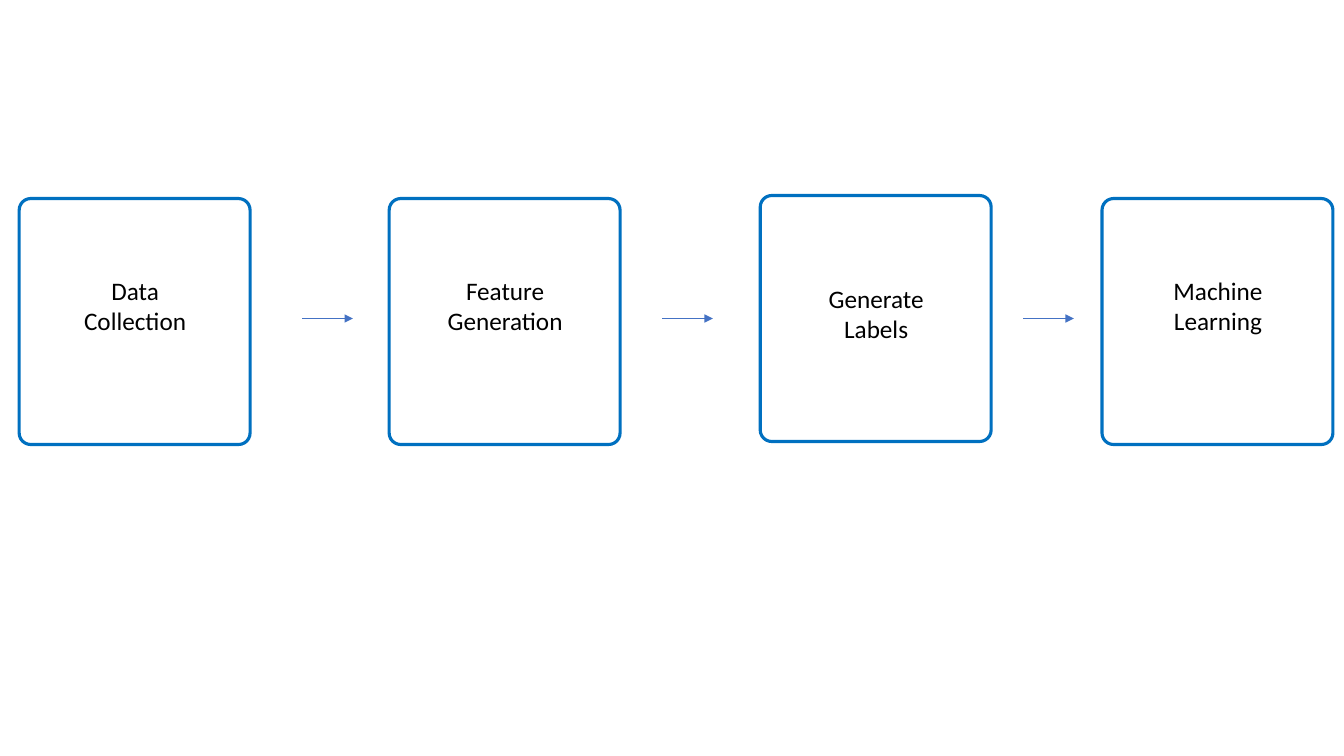
import pptx
import pptx.util
import pptx.dml.color
import pptx.enum.shapes
import pptx.enum.text
import pptx.oxml
import pptx.oxml.ns
from pptx.util import Inches

BOX_BLUE = pptx.dml.color.RGBColor(0x00, 0x70, 0xC0)
ARROW_BLUE = pptx.dml.color.RGBColor(0x44, 0x72, 0xC4)
BLACK = pptx.dml.color.RGBColor(0x00, 0x00, 0x00)

STEPS = [
    ("Data Collection", 0.19, 1.97, 2.68),
    ("Feature Generation", 3.86, 1.97, 2.68),
    ("Generate Labels", 7.54, 1.94, 2.76),
    ("Machine\nLearning", 10.93, 1.97, 2.68),
]
ARROW_STARTS = [3, 6.57, 10.15]
ARROW_LENGTH = 0.5
ARROW_Y = 3.16
LABEL_INDENT = 0.31

deck = pptx.Presentation()
deck.slide_width = Inches(13.33)
deck.slide_height = Inches(7.5)
page = deck.slides.add_slide(deck.slide_layouts[6])

for name, left, top, label_top in STEPS:
    box = page.shapes.add_shape(
        pptx.enum.shapes.MSO_SHAPE.ROUNDED_RECTANGLE,
        Inches(left), Inches(top), Inches(2.29), Inches(2.44))
    box.adjustments[0] = 0.05
    box.shadow.inherit = False
    box.fill.background()
    box.line.color.rgb = BOX_BLUE
    box.line.width = pptx.util.Pt(2.25)

    label = page.shapes.add_textbox(
        Inches(left + LABEL_INDENT), Inches(label_top), Inches(1.68), Inches(0.71))
    frame = label.text_frame
    frame.word_wrap = True
    frame.auto_size = pptx.enum.text.MSO_AUTO_SIZE.SHAPE_TO_FIT_TEXT
    frame.text = name
    for para in frame.paragraphs:
        para.alignment = pptx.enum.text.PP_ALIGN.CENTER
        for span in para.runs:
            span.font.name = "Calibri"
            span.font.size = pptx.util.Pt(18)
            span.font.color.rgb = BLACK

for start in ARROW_STARTS:
    arrow = page.shapes.add_connector(
        pptx.enum.shapes.MSO_CONNECTOR.STRAIGHT,
        Inches(start), Inches(ARROW_Y), Inches(start + ARROW_LENGTH), Inches(ARROW_Y))
    arrow.line.color.rgb = ARROW_BLUE
    arrow.line.width = pptx.util.Pt(0.5)
    head = pptx.oxml.parse_xml(
        f'<a:tailEnd {pptx.oxml.ns.nsdecls("a")} type="triangle"/>')
    arrow.line._get_or_add_ln().append(head)
    no_shadow = pptx.oxml.parse_xml(f'<a:effectLst {pptx.oxml.ns.nsdecls("a")}/>')
    arrow._element.spPr.append(no_shadow)

deck.save("out.pptx")
